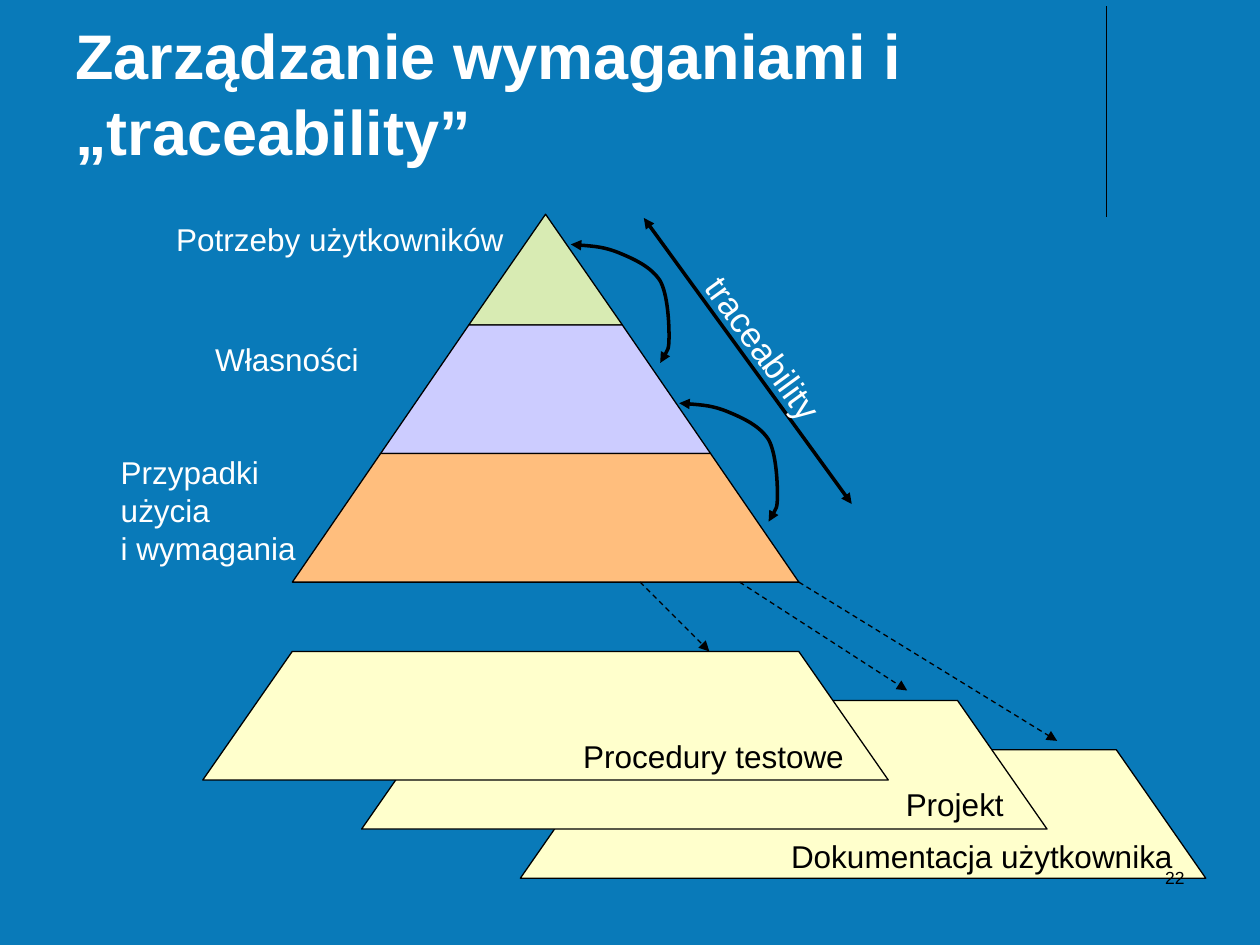
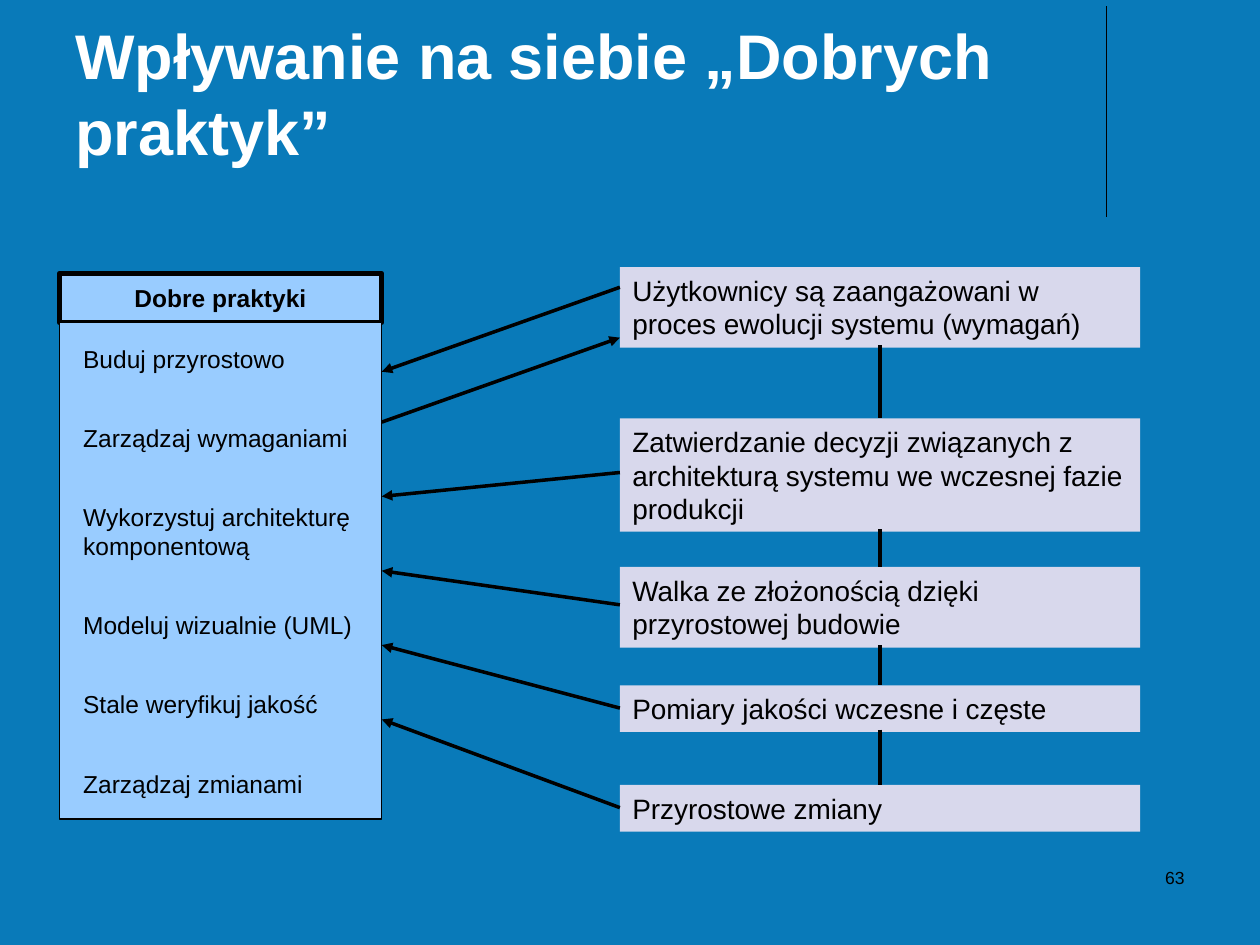
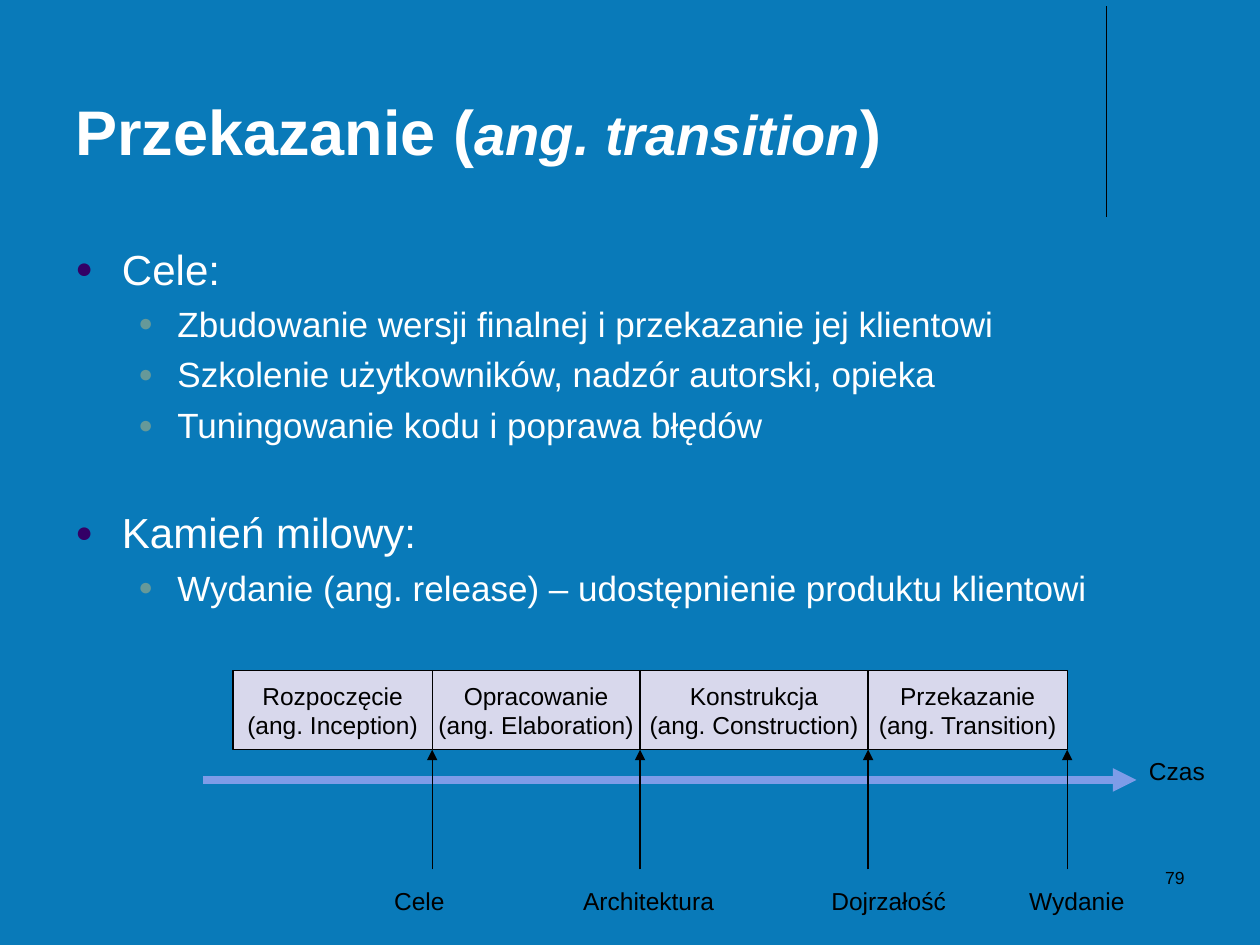
"""Build three slides on requirements traceability, good practices and the transition phase."""

import itertools
import math
from dataclasses import dataclass
from typing import Any, Optional, Sequence

import lxml.etree
import pptx
import pptx.dml.color
import pptx.enum.dml
import pptx.enum.shapes
import pptx.enum.text
import pptx.oxml.ns
import pptx.util

Inches = pptx.util.Inches
Pt = pptx.util.Pt
RGBColor = pptx.dml.color.RGBColor
PRESET = pptx.enum.shapes.MSO_SHAPE
ALIGN = pptx.enum.text.PP_ALIGN
ANCHOR = pptx.enum.text.MSO_ANCHOR
qn = pptx.oxml.ns.qn

BLUE = RGBColor(0x09, 0x7A, 0xB9)
WHITE = RGBColor(0xFF, 0xFF, 0xFF)
BLACK = RGBColor(0x00, 0x00, 0x00)
GREEN = RGBColor(0xD8, 0xEB, 0xB3)
LILAC = RGBColor(0xCC, 0xCC, 0xFF)
ORANGE = RGBColor(0xFF, 0xBE, 0x7D)
CREAM = RGBColor(0xFF, 0xFF, 0xCC)
LAVENDER = RGBColor(0xD8, 0xD8, 0xEC)
SKY = RGBColor(0x99, 0xCC, 0xFF)
PERIWINKLE = RGBColor(0x7E, 0x9C, 0xE8)
PURPLE = RGBColor(0x33, 0x00, 0x66)
TEAL = RGBColor(0x66, 0x99, 0x99)
FONT = "Arial"
THIN = 0.74
HAIRLINE = 0

Point = tuple[float, float]


@dataclass(frozen=True)
class Box:
    left: float
    top: float
    width: float
    height: float

    def lengths(self) -> list[int]:
        return [Inches(v) for v in (self.left, self.top, self.width, self.height)]


@dataclass(frozen=True)
class Style:
    size: float
    color: RGBColor = BLACK
    bold: bool = False
    italic: bool = False


@dataclass(frozen=True)
class Label:
    text: str
    box: Box


@dataclass(frozen=True)
class Level:
    style: Style
    indent: float
    hanging: float
    before: float
    bullet: RGBColor


@dataclass(frozen=True)
class Tier:
    bottom: float
    half_width: float
    color: RGBColor


TITLE = Style(36, WHITE, bold=True)
TITLE_ASIDE = Style(32, WHITE, bold=True, italic=True)
TOPIC = Level(Style(24, WHITE), 0.37, 0.37, 6, PURPLE)
DETAIL = Level(Style(20, WHITE), 0.81, 0.31, 5, TEAL)


def add_run(paragraph: Any, text: str, style: Style) -> None:
    run = paragraph.add_run()
    run.text = text
    run.font.name = FONT
    run.font.size = Pt(style.size)
    run.font.bold = style.bold
    run.font.italic = style.italic
    run.font.color.rgb = style.color


def write(shape: Any, paragraphs: Sequence[str], style: Style, align: Any = ALIGN.LEFT,
          anchor: Any = ANCHOR.TOP, wrap: bool = True, after: float = 0) -> None:
    frame = shape.text_frame
    frame.word_wrap = wrap
    frame.vertical_anchor = anchor
    for index, text in enumerate(paragraphs):
        paragraph = frame.paragraphs[0] if index == 0 else frame.add_paragraph()
        paragraph.alignment = align
        paragraph.space_after = Pt(after)
        for part, line in enumerate(text.split("\n")):
            if part:
                paragraph.add_line_break()
            add_run(paragraph, line, style)


def add_text(slide: Any, box: Box, text: str, style: Style, **layout: Any) -> Any:
    shape = slide.shapes.add_textbox(*box.lengths())
    write(shape, text.split("\n"), style, **layout)
    return shape


def paint(shape: Any, fill: Optional[RGBColor], width: Optional[float]) -> None:
    shape.shadow.inherit = False
    if fill is None:
        shape.fill.background()
    else:
        shape.fill.solid()
        shape.fill.fore_color.rgb = fill
    if width is None:
        shape.line.fill.background()
    else:
        shape.line.color.rgb = BLACK
        shape.line.width = Pt(width)


def add_box(slide: Any, box: Box, fill: RGBColor, width: Optional[float] = None,
            preset: Any = PRESET.RECTANGLE) -> Any:
    shape = slide.shapes.add_shape(preset, *box.lengths())
    paint(shape, fill, width)
    return shape


def add_arrowheads(shape: Any, head: bool, tail: bool) -> None:
    outline = shape._element.spPr.find(qn("a:ln"))
    for tag, wanted in (("a:headEnd", head), ("a:tailEnd", tail)):
        if wanted:
            lxml.etree.SubElement(outline, qn(tag), type="triangle")


def add_line(slide: Any, start: Point, end: Point, width: float = THIN, color: RGBColor = BLACK,
             head: bool = False, tail: bool = False, dashed: bool = False) -> None:
    line = slide.shapes.add_connector(pptx.enum.shapes.MSO_CONNECTOR.STRAIGHT,
                                      *(Inches(v) for v in start + end))
    line.line.color.rgb = color
    line.line.width = Pt(width)
    if dashed:
        line.line.dash_style = pptx.enum.dml.MSO_LINE.DASH
    add_arrowheads(line, head, tail)
    lxml.etree.SubElement(line._element.spPr, qn("a:effectLst"))


def add_outline(slide: Any, points: Sequence[Point], closed: bool = True) -> Any:
    corners = [(Inches(x), Inches(y)) for x, y in points]
    builder = slide.shapes.build_freeform(*corners[0])
    builder.add_line_segments(corners[1:], close=closed)
    return builder.convert_to_shape()


def add_trapezoid(slide: Any, center: float, top: float, bottom: float, top_half: float,
                  bottom_half: float, fill: RGBColor) -> None:
    corners = [(center - top_half, top), (center + top_half, top),
               (center + bottom_half, bottom), (center - bottom_half, bottom)]
    paint(add_outline(slide, corners if top_half else corners[1:]), fill, THIN)


def add_curve(slide: Any, points: Sequence[Point]) -> None:
    """Turn each three segments of an open outline into one Bezier arc."""
    curve = add_outline(slide, points, closed=False)
    paint(curve, None, 2)
    add_arrowheads(curve, head=True, tail=True)
    route = next(curve._element.iter(qn("a:path")))
    segments = route.findall(qn("a:lnTo"))
    for first in range(0, len(segments), 3):
        arc = lxml.etree.SubElement(route, qn("a:cubicBezTo"))
        for segment in segments[first:first + 3]:
            arc.append(segment[0])
            route.remove(segment)


def add_bulleted(paragraph: Any, text: str, level: Level, gap: float) -> None:
    paragraph.space_before = Pt(level.before + gap)
    properties = paragraph._p.get_or_add_pPr()
    properties.set("marL", str(Inches(level.indent)))
    properties.set("indent", str(-Inches(level.hanging)))
    color = lxml.etree.SubElement(properties, qn("a:buClr"))
    lxml.etree.SubElement(color, qn("a:srgbClr"), val=str(level.bullet))
    lxml.etree.SubElement(properties, qn("a:buSzPct"), val="70000")
    lxml.etree.SubElement(properties, qn("a:buFont"), typeface=FONT)
    lxml.etree.SubElement(properties, qn("a:buChar"), char="●")
    add_run(paragraph, text, level.style)


def start_slide(deck: Any, title: Sequence[tuple[str, Style]]) -> Any:
    slide = deck.slides.add_slide(deck.slide_layouts[6])
    slide.background.fill.solid()
    slide.background.fill.fore_color.rgb = BLUE
    add_line(slide, (8.78, 0.05), (8.78, 1.72))
    heading = slide.shapes.add_textbox(*Box(0.5, 0.13, 8.25, 1.25).lengths())
    heading.text_frame.word_wrap = True
    heading.text_frame.vertical_anchor = ANCHOR.BOTTOM
    for text, style in title:
        add_run(heading.text_frame.paragraphs[0], text, style)
    return slide


def add_page_number(slide: Any, number: int) -> None:
    add_text(slide, Box(7.17, 6.83, 2.33, 0.5), str(number), Style(10), align=ALIGN.RIGHT)


def build_traceability(deck: Any) -> None:
    slide = start_slide(deck, [("Zarządzanie wymaganiami i „traceability”", TITLE)])
    center, apex = 4.33, 1.7

    for step in (2, 1, 0):
        top = 5.17 + 0.39 * step
        add_trapezoid(slide, center + 1.26 * step, top, top + 1.02, 2.01, 2.72, CREAM)

    top, top_half = apex, 0.0
    for tier in (Tier(2.58, 0.61, GREEN), Tier(3.6, 1.31, LILAC), Tier(4.62, 2.01, ORANGE)):
        add_trapezoid(slide, center, top, tier.bottom, top_half, tier.half_width, tier.color)
        top, top_half = tier.bottom, tier.half_width

    levels = (Label("Potrzeby użytkowników", Box(1.3, 1.7, 2.8, 0.4)),
              Label("Własności", Box(1.61, 2.65, 1.34, 0.4)),
              Label("Przypadki\nużycia\ni wymagania", Box(0.86, 3.55, 1.59, 1)))
    documents = (Label("Procedury testowe", Box(4.53, 5.8, 2.27, 0.4)),
                 Label("Projekt", Box(7.09, 6.18, 0.98, 0.4)),
                 Label("Dokumentacja użytkownika", Box(6.18, 6.59, 3.23, 0.4)))
    for labels, color in ((levels, WHITE), (documents, BLACK)):
        for label in labels:
            add_text(slide, label.box, label.text, Style(18, color), wrap=False)

    bend = ((0, 0), (0.14, 0.01), (0.27, 0.02), (0.39, 0.07), (0.51, 0.12), (0.64, 0.18),
            (0.71, 0.29), (0.77, 0.4), (0.78, 0.62), (0.78, 0.73), (0.78, 0.84),
            (0.74, 0.89), (0.71, 0.94))
    for left, top in ((4.53, 1.94), (5.39, 3.2)):
        add_curve(slide, [(left + x, top + y) for x, y in bend])

    for start, end in (((5.08, 4.62), (5.63, 5.17)), ((5.87, 4.62), (7.2, 5.48)),
                       ((6.34, 4.62), (8.39, 5.88))):
        add_line(slide, start, end, tail=True, dashed=True)

    run, rise = 1.65, 2.27
    add_line(slide, (5.11, 1.73), (5.11 + run, 1.73 + rise), HAIRLINE, head=True, tail=True)
    caption = add_text(slide, Box(5.26, 2.56, 1.6, 0.4), "traceability", Style(20, WHITE),
                       align=ALIGN.CENTER, anchor=ANCHOR.MIDDLE, wrap=False)
    caption.rotation = math.degrees(math.atan2(rise, run))
    add_page_number(slide, 22)


def build_good_practices(deck: Any) -> None:
    slide = start_slide(deck, [("Wpływanie na siebie „Dobrych praktyk”", TITLE)])
    left, width, practices_edge = 4.92, 4.13, 3.03
    effects = (
        ("Użytkownicy są zaangażowani w proces ewolucji systemu (wymagań)", 2.12, 0.64),
        ("Zatwierdzanie decyzji związanych z architekturą systemu we wczesnej fazie produkcji",
         3.32, 0.9),
        ("Walka ze złożonością dzięki przyrostowej budowie", 4.5, 0.64),
        ("Pomiary jakości wczesne i częste", 5.44, 0.37),
        ("Przyrostowe zmiany", 6.23, 0.37),
    )
    for text, top, height in effects:
        write(add_box(slide, Box(left, top, width, height), LAVENDER), [text], Style(16))
    middle = left + width / 2
    for (_, top, height), (_, next_top, _) in itertools.pairwise(effects):
        add_line(slide, (middle, top + height - 0.02), (middle, next_top), HAIRLINE)

    add_line(slide, (practices_edge, 3.35), (left, 2.68), HAIRLINE, tail=True)
    for start, end in ((2.28, 2.95), (3.75, 3.94), (4.8, 4.53), (5.62, 5.12), (6.41, 5.71)):
        add_line(slide, (left, start), (practices_edge, end), HAIRLINE, tail=True)

    header = add_box(slide, Box(0.47, 2.17, 2.56, 0.39), SKY, 2.83)
    write(header, ["Dobre praktyki"], Style(14, bold=True), ALIGN.CENTER, ANCHOR.MIDDLE)
    practices = add_box(slide, Box(0.47, 2.56, 2.56, 3.94), SKY, HAIRLINE)
    practices.text_frame.margin_left = Inches(0.19)
    write(practices, ["Buduj przyrostowo", "Zarządzaj wymaganiami",
                      "Wykorzystuj architekturę\nkomponentową", "Modeluj wizualnie (UML)",
                      "Stale weryfikuj jakość", "Zarządzaj zmianami"],
          Style(14), anchor=ANCHOR.MIDDLE, after=28.4)
    add_page_number(slide, 63)


def build_transition(deck: Any) -> None:
    slide = start_slide(deck, [("Przekazanie (", TITLE), ("ang. transition", TITLE_ASIDE),
                               (")", TITLE)])
    goals = slide.shapes.add_textbox(*Box(0.5, 1.88, 9, 3.37).lengths()).text_frame
    goals.word_wrap = True
    outline = (
        ("Cele:", TOPIC, 0),
        ("Zbudowanie wersji finalnej i przekazanie jej klientowi", DETAIL, 0),
        ("Szkolenie użytkowników, nadzór autorski, opieka", DETAIL, 0),
        ("Tuningowanie kodu i poprawa błędów", DETAIL, 0),
        ("Kamień milowy:", TOPIC, 29),
        ("Wydanie (ang. release) – udostępnienie produktu klientowi", DETAIL, 0),
    )
    for index, (text, level, gap) in enumerate(outline):
        paragraph = goals.add_paragraph() if index else goals.paragraphs[0]
        add_bulleted(paragraph, text, level, gap)

    phases = (("Rozpoczęcie", "(ang. Inception)"), ("Opracowanie", "(ang. Elaboration)"),
              ("Konstrukcja", "(ang. Construction)"), ("Przekazanie", "(ang. Transition)"))
    borders = (1.85, 3.43, 5.08, 6.89, 8.47)
    for phase, (start, end) in zip(phases, itertools.pairwise(borders)):
        box = add_box(slide, Box(start, 5.32, end - start, 0.63), LAVENDER, THIN,
                      PRESET.FLOWCHART_PROCESS)
        write(box, phase, Style(14), ALIGN.CENTER, ANCHOR.MIDDLE, wrap=False)

    add_line(slide, (1.61, 6.19), (9.02, 6.19), 4.5, PERIWINKLE, tail=True)
    add_text(slide, Box(9.02, 5.95, 0.79, 0.34), "Czas", Style(14))
    milestones = (Label("Cele", Box(3.03, 6.98, 0.63, 0.34)),
                  Label("Architektura", Box(4.53, 6.98, 1.5, 0.34)),
                  Label("Dojrzałość", Box(6.5, 6.98, 1.34, 0.34)),
                  Label("Wydanie", Box(8.07, 6.98, 1.02, 0.34)))
    for border, milestone in zip(borders[1:], milestones):
        add_line(slide, (border, 6.9), (border, 5.95), tail=True)
        add_text(slide, milestone.box, milestone.text, Style(14))
    add_page_number(slide, 79)


def main() -> None:
    deck = pptx.Presentation()
    deck.slide_width = Inches(10)
    deck.slide_height = Inches(7.5)
    build_traceability(deck)
    build_good_practices(deck)
    build_transition(deck)
    deck.save("out.pptx")


main()
